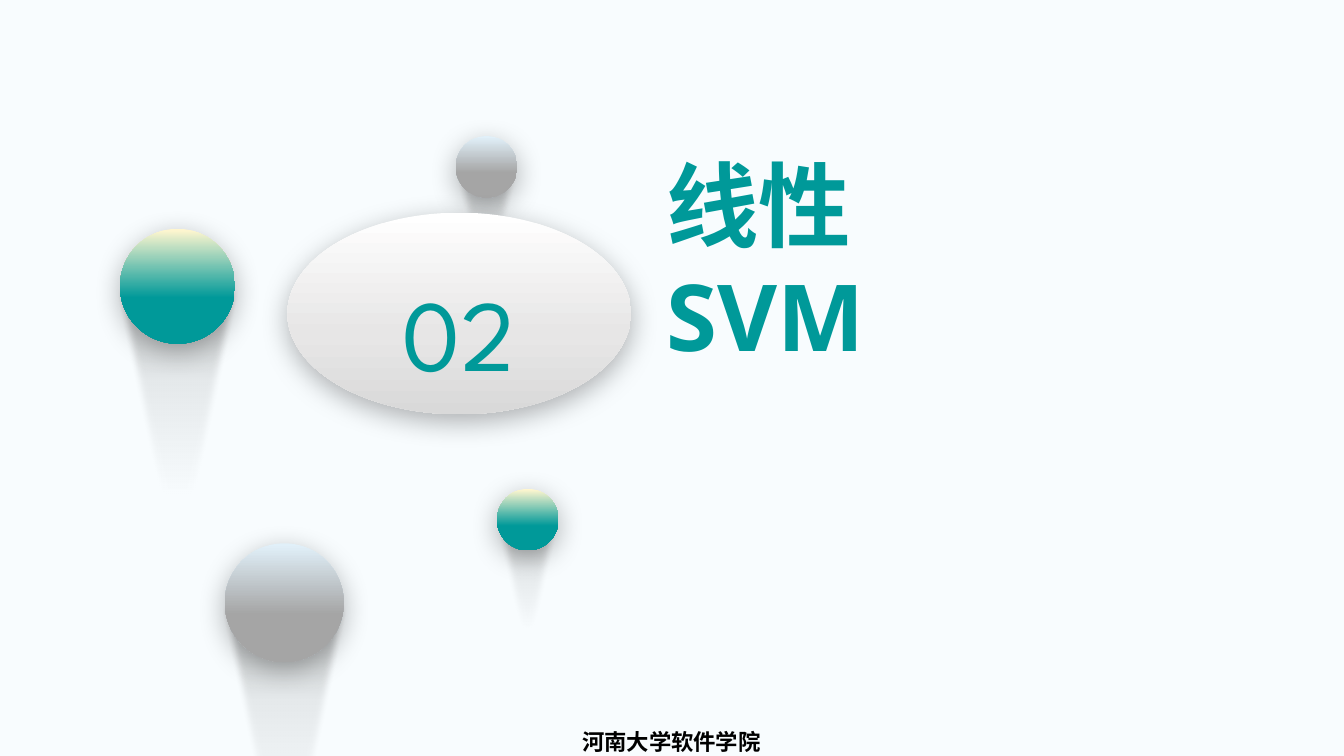
"""Build the section slide for linear SVM with its floating balls."""
from dataclasses import dataclass

from lxml.etree import SubElement
from pptx import Presentation
from pptx.dml.color import RGBColor
from pptx.enum.shapes import MSO_SHAPE
from pptx.enum.text import MSO_ANCHOR, MSO_AUTO_SIZE, PP_ALIGN
from pptx.oxml.ns import qn
from pptx.util import Inches, Pt

WIDTH, HEIGHT = Inches(13.33), Inches(7.5)
COLORS = {
    "page": "F8FCFE", "teal": "009999", "cream": "FFF6CF", "ice": "E1F0F9",
    "gray": "A5A5A5", "white": "FFFFFF", "pale": "E7E6E6", "silver": "D9D9D9",
    "black": "000000", "charcoal": "262626",
}


@dataclass(frozen=True)
class Stop:
    position: int
    color: str
    opacity: int = 100


@dataclass(frozen=True)
class Ball:
    """Left and diameter are percentages of the width, top of the height."""
    left: float
    top: float
    diameter: float
    light: str
    main: str


BALLS_BEHIND = [Ball(33.91, 18, 4.58, "ice", "gray")]
BALLS_IN_FRONT = [
    Ball(16.73, 71.87, 8.85, "ice", "gray"),
    Ball(36.98, 64.67, 4.58, "cream", "teal"),
    Ball(8.93, 30.27, 8.55, "cream", "teal"),
]
DISC_STOPS = [Stop(0, "white"), Stop(60, "pale"), Stop(100, "silver")]
TRAIL_STOPS = [Stop(0, "charcoal", 30), Stop(30, "black", 8),
               Stop(50, "black", 4), Stop(70, "black", 0)]
TRAIL_OUTLINE = [(0, 0), (1, 0), (0.57, 0.9), (0.5, 1), (0.43, 0.9)]


def across(percent: float) -> int:
    return round(WIDTH * percent / 100)


def down(percent: float) -> int:
    return round(HEIGHT * percent / 100)


def color(name: str) -> RGBColor:
    return RGBColor.from_string(COLORS[name])


def add_color(parent, name: str, opacity: int) -> None:
    node = SubElement(parent, qn("a:srgbClr"), val=COLORS[name])
    if opacity < 100:
        SubElement(node, qn("a:alpha"), val=str(opacity * 1000))


def fill_downward(shape, stops: list[Stop]):
    """Fill the shape from top to bottom and return its empty effect list."""
    shape.fill.gradient()
    shape.fill.gradient_angle = 270
    shape.line.fill.background()
    shape.shadow.inherit = False
    properties = shape._element.spPr
    stop_list = properties.find(qn("a:gradFill")).find(qn("a:gsLst"))
    for old_stop in list(stop_list):
        stop_list.remove(old_stop)
    for stop in stops:
        node = SubElement(stop_list, qn("a:gs"), pos=str(stop.position * 1000))
        add_color(node, stop.color, stop.opacity)
    return properties.find(qn("a:effectLst"))


def add_ellipse(shapes, left: int, top: int, width: int, height: int,
                stops: list[Stop]):
    ellipse = shapes.add_shape(MSO_SHAPE.OVAL, left, top, width, height)
    effects = fill_downward(ellipse, stops)
    shadow = SubElement(effects, qn("a:outerShdw"), blurRad=str(Pt(20)),
                        dist=str(Pt(5)), dir="5400000", algn="t", rotWithShape="0")
    add_color(shadow, "black", 30)
    return ellipse


def add_ball(slide, ball: Ball) -> None:
    group = slide.shapes.add_group_shape()
    left, top, diameter = across(ball.left), down(ball.top), across(ball.diameter)
    trail_width, trail_height = diameter * 1.11, diameter * 2.71
    trail_left, trail_top = left - (trail_width - diameter) / 2, top + diameter / 2
    points = [(round(trail_left + x * trail_width), round(trail_top + y * trail_height))
              for x, y in TRAIL_OUTLINE]
    builder = group.shapes.build_freeform(*points[0])
    builder.add_line_segments(points[1:], close=True)
    effects = fill_downward(builder.convert_to_shape(), TRAIL_STOPS)
    SubElement(effects, qn("a:softEdge"), rad=str(Pt(5)))
    add_ellipse(group.shapes, left, top, diameter, diameter,
                [Stop(1, ball.light), Stop(60, ball.main), Stop(100, ball.main)])


def write(frame, text: str, font_name: str, size: int, color_name: str,
          bold: bool, alignment: PP_ALIGN):
    frame.text = text
    para = frame.paragraphs[0]
    para.alignment = alignment
    para.font.name = font_name
    para.font.size = Pt(size)
    para.font.bold = bold
    para.font.color.rgb = color(color_name)
    return para


def add_disc(slide) -> None:
    disc = add_ellipse(slide.shapes, across(21.38), down(28.13),
                       across(25.58), down(26.67), DISC_STOPS)
    disc.text_frame.vertical_anchor = MSO_ANCHOR.MIDDLE
    para = write(disc.text_frame, "02", "League Spartan", 72, "teal", False,
                 PP_ALIGN.CENTER)
    para.line_spacing = 1.3


def add_title(slide) -> None:
    title = slide.shapes.title
    title.left, title.top = across(48.99), down(33.2)
    title.width, title.height = across(30.76), down(16.13)
    frame = title.text_frame
    frame.word_wrap = True
    frame.auto_size = MSO_AUTO_SIZE.NONE
    frame.vertical_anchor = MSO_ANCHOR.BOTTOM
    frame.margin_left = Inches(0.08)
    frame.margin_right = across(12)
    frame.margin_bottom = Inches(0.03)
    write(frame, "线性SVM", "Open Sans", 66, "teal", True, PP_ALIGN.LEFT)


def add_footer(slide) -> None:
    box = slide.shapes.add_textbox(across(36.98), down(95.6), across(25.96), down(4.4))
    box.text_frame.word_wrap = True
    write(box.text_frame, "河南大学软件学院", "DejaVu Sans", 16, "black", True,
          PP_ALIGN.CENTER)


def main() -> None:
    deck = Presentation()
    deck.slide_width, deck.slide_height = WIDTH, HEIGHT
    slide = deck.slides.add_slide(deck.slide_layouts.get_by_name("Title Only"))
    slide.background.fill.solid()
    slide.background.fill.fore_color.rgb = color("page")
    add_footer(slide)
    for ball in BALLS_BEHIND:
        add_ball(slide, ball)
    add_disc(slide)
    for ball in BALLS_IN_FRONT:
        add_ball(slide, ball)
    add_title(slide)
    deck.save("out.pptx")


if __name__ == "__main__":
    main()
